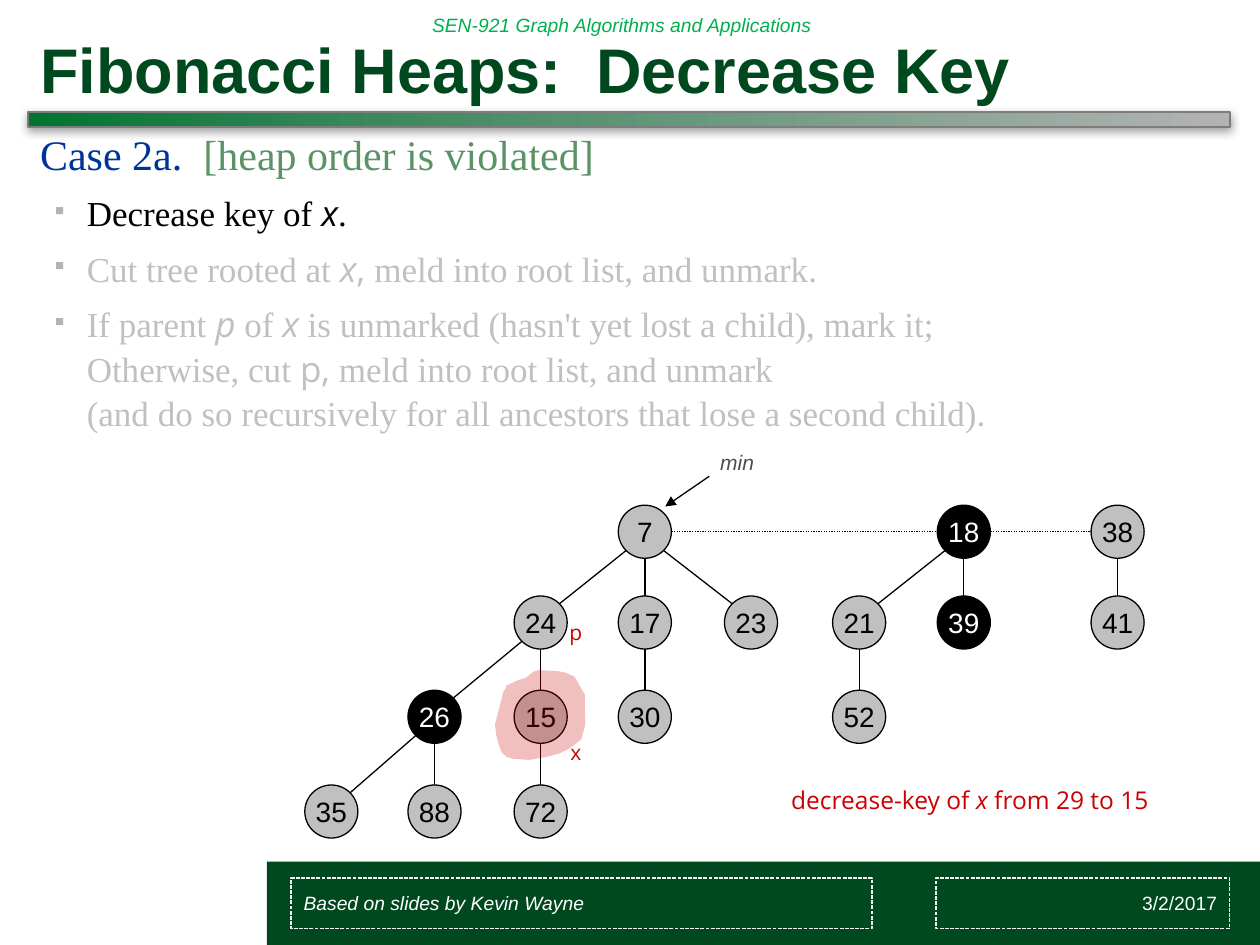
from copy import deepcopy

from lxml import etree
from pptx import Presentation
from pptx.dml.color import RGBColor
from pptx.enum.dml import MSO_LINE
from pptx.enum.shapes import MSO_CONNECTOR, MSO_SHAPE
from pptx.enum.text import MSO_ANCHOR, MSO_AUTO_SIZE, PP_ALIGN
from pptx.oxml.ns import qn
from pptx.util import Cm, Pt

STRAIGHT = MSO_CONNECTOR.STRAIGHT
RECTANGLE, OVAL = MSO_SHAPE.RECTANGLE, MSO_SHAPE.OVAL
DOTTED, DASHED = MSO_LINE.ROUND_DOT, MSO_LINE.SQUARE_DOT
LEFT, CENTER, RIGHT = PP_ALIGN.LEFT, PP_ALIGN.CENTER, PP_ALIGN.RIGHT
MIDDLE, BOTTOM = MSO_ANCHOR.MIDDLE, MSO_ANCHOR.BOTTOM
FIT_SHAPE = MSO_AUTO_SIZE.SHAPE_TO_FIT_TEXT

COLORS = {name: RGBColor.from_string(value) for name, value in {
    "forest": "00481E", "green": "00B050", "sage": "5B9266", "blue": "003399",
    "red": "CC0000", "black": "000000", "marked": "010000", "white": "FFFFFF",
    "node": "C0C0C0", "faded": "C0C0C0", "bullet": "B3B3B3", "label": "4D4D4D",
    "frame": "F2F2F2", "bar edge": "7D7D7D", "bar start": "007430",
    "bar middle": "3C895C", "bar end": "B3B3B3"}.items()}
SERIF, SANS, ARIAL = "Times New Roman", "Open Sans", "Arial"


def write(para, spans, size, color, name=ARIAL, italic=False, bold=False, align=LEFT):
    """Each span is plain text, or a tuple of text and the font settings it changes."""
    para.alignment = align
    font = para.font
    font.size, font.name, font.italic, font.bold = Pt(size), name, italic, bold
    font.color.rgb = COLORS[color]
    for item in spans:
        text, changes = item if isinstance(item, tuple) else (item, {})
        if text == "\n":
            para.add_line_break()
            continue
        span = para.add_run()
        span.text = text
        for key, value in changes.items():
            if key == "color":
                span.font.color.rgb = COLORS[value]
            else:
                setattr(span.font, key, value)


def draw_line(x1, y1, x2, y2, dash=None, arrow=False):
    line = page.shapes.add_connector(STRAIGHT, Cm(x1), Cm(y1), Cm(x2), Cm(y2))
    line.line.color.rgb = COLORS["black"]
    line.line.width = Pt(0.75)
    if dash:
        line.line.dash_style = dash
    properties = line._element.spPr
    if arrow:
        etree.SubElement(properties.find(qn("a:ln")), qn("a:tailEnd"), type="triangle")
    etree.SubElement(properties, qn("a:effectLst"))


deck = Presentation()
deck.slide_width, deck.slide_height = Cm(25.4), Cm(19.05)
page = deck.slides.add_slide(deck.slide_layouts[5])

# Footer band
band = page.shapes.add_shape(RECTANGLE, Cm(5.38), Cm(17.37), Cm(20.02), Cm(1.7))
band.shadow.inherit = False
band.fill.solid()
band.fill.fore_color.rgb = COLORS["forest"]
band.line.fill.background()

# Gradient bar under the title, with a soft shadow
bar = page.shapes.add_shape(RECTANGLE, Cm(0.56), Cm(2.26), Cm(24.23), Cm(0.3))
bar.fill.gradient()
bar.fill.gradient_angle = 0
bar.line.color.rgb = COLORS["bar edge"]
bar.line.width = Pt(1)
stop_list = bar._element.spPr.find(".//" + qn("a:gsLst"))
stop_list.append(deepcopy(stop_list[1]))
stops = [(0, "bar start"), (0.29, "bar middle"), (1, "bar end")]
for stop, (position, color) in zip(bar.fill.gradient_stops, stops):
    stop.position = position
    stop.color.rgb = COLORS[color]
effects = etree.SubElement(bar._element.spPr, qn("a:effectLst"))
shadow = etree.SubElement(effects, qn("a:outerShdw"), blurRad=str(Pt(5)),
                          dist=str(Pt(2)), dir="5400000", rotWithShape="0")
shade = etree.SubElement(shadow, qn("a:srgbClr"), val="808080")
etree.SubElement(shade, qn("a:alpha"), val="75000")

# Title
title = page.shapes.title
title.left, title.top, title.width, title.height = Cm(0.56), Cm(0.41), Cm(24.23), Cm(1.85)
title.text_frame.auto_size = MSO_AUTO_SIZE.NONE
title.text_frame.vertical_anchor = BOTTOM
write(title.text_frame.paragraphs[0], ["Fibonacci Heaps:  Decrease Key"],
      36, "forest", bold=True)

# Course name
course = page.shapes.add_textbox(Cm(8.46), Cm(0), Cm(11.71), Cm(1.02))
course.text_frame.word_wrap = True
course.text_frame.vertical_anchor = MIDDLE
write(course.text_frame.paragraphs[0], ["SEN-921 Graph Algorithms and Applications"],
      11, "green", italic=True)

# Case heading and its steps
variable, plain = {"name": SANS, "italic": True}, {"name": SANS}
steps = [
    ("black", ["Decrease key of ", ("x", variable), "."]),
    ("faded", ["Cut tree rooted at ", ("x", variable), (", ", plain),
               "meld into root list, and unmark."]),
    ("faded", ["If parent ", ("p", variable), " of ", ("x", variable),
               " is unmarked (hasn't yet lost a child), mark it;", "\n",
               "Otherwise, cut ", ("p,", plain), " meld into root list, and unmark", "\n",
               "(and do so recursively for all ancestors that lose a second child)."]),
]
body = page.shapes.add_textbox(Cm(0.56), Cm(2.57), Cm(24.23), Cm(14.45)).text_frame
body.word_wrap = True
heading = body.paragraphs[0]
heading.line_spacing = Pt(25.6)
write(heading, ["Case 2a.  ", ("[heap order is violated]", {"color": "sage"})],
      24, "blue", SERIF)
for color, spans in steps:
    para = body.add_paragraph()
    para.line_spacing, para.space_before = Pt(25.6), Pt(6)
    settings = para._p.get_or_add_pPr()
    settings.set("marL", str(Cm(0.94)))
    settings.set("indent", str(Cm(-0.64)))
    bullet_color = etree.SubElement(settings, qn("a:buClr"))
    etree.SubElement(bullet_color, qn("a:srgbClr"), val=str(COLORS["bullet"]))
    etree.SubElement(settings, qn("a:buSzPct"), val="35000")
    etree.SubElement(settings, qn("a:buChar"), char="■")
    write(para, spans, 20, color, SERIF)

# Heap trees: key -> (column, row, parent)
columns = [6.68, 8.76, 10.9, 13, 15.14, 17.32, 19.43, 22.53]
rows = [10.72, 12.55, 14.45, 16.36]
nodes = {
    7: (3, 0, None), 18: (6, 0, None), 38: (7, 0, None),
    24: (2, 1, 7), 17: (3, 1, 7), 23: (4, 1, 7),
    21: (5, 1, 18), 39: (6, 1, 18), 41: (7, 1, 38),
    26: (1, 2, 24), 15: (2, 2, 24), 30: (3, 2, 17), 52: (5, 2, 21),
    35: (0, 3, 26), 88: (1, 3, 26), 72: (2, 3, 15),
}
marked = {18, 26, 39}
diameter = 1.07
radius = diameter / 2
diagonal = radius * 0.71
for key, (column, row, parent) in nodes.items():
    x, y = columns[column], rows[row]
    circle = page.shapes.add_shape(OVAL, Cm(x - radius), Cm(y - radius),
                                   Cm(diameter), Cm(diameter))
    circle.shadow.inherit = False
    circle.fill.solid()
    circle.fill.fore_color.rgb = COLORS["marked" if key in marked else "node"]
    circle.line.color.rgb = COLORS["black"]
    circle.line.width = Pt(0.75)
    circle.text_frame.word_wrap = False
    circle.text_frame.vertical_anchor = MIDDLE
    write(circle.text_frame.paragraphs[0], [str(key)], 16,
          "white" if key in marked else "black", align=CENTER)
    if parent:
        parent_x, parent_y = columns[nodes[parent][0]], rows[nodes[parent][1]]
        side = (x > parent_x) - (x < parent_x)
        drop = diagonal if side else radius
        draw_line(parent_x + side * diagonal, parent_y + drop,
                  x - side * diagonal, y - drop)

# Root list and pointer to the minimum
for start, end in [(3, 6), (6, 7)]:
    draw_line(columns[start] + radius, rows[0], columns[end] - radius, rows[0], DOTTED)
draw_line(14.3, 9.6, 13.41, 10.21, arrow=True)

# Labels
labels = [
    (14.27, 8.94, 1.19, 0.76, ["min"], 12, "label", ARIAL, True),
    (15.7, 15.7, 8.2, 0.86,
     ["decrease-key of ", ("x", {"italic": True}), " from 29 to 15"], 14, "red", SANS, False),
    (11.23, 12.37, 0.74, 0.76, ["p"], 12, "red", SANS, False),
    (11.25, 14.78, 0.71, 0.76, ["x"], 12, "red", SANS, False),
]
for x, y, width, height, spans, *style in labels:
    box = page.shapes.add_textbox(Cm(x), Cm(y), Cm(width), Cm(height))
    box.text_frame.word_wrap = False
    box.text_frame.auto_size = FIT_SHAPE
    write(box.text_frame.paragraphs[0], spans, *style)

# Translucent highlight around x: cubic curves sampled as short segments
start = (10.21, 13.82)
curves = [
    [(10.34, 13.77), (10.46, 13.69), (10.59, 13.67)],
    [(10.77, 13.54), (10.69, 13.56), (10.85, 13.51)],
    [(11.23, 13.54), (11.3, 13.49), (11.58, 13.64)],
    [(11.66, 13.77), (11.71, 13.87), (11.79, 14)],
    [(11.76, 14.33), (11.94, 14.96), (11.48, 15.09)],
    [(11.25, 15.24), (10.95, 15.27), (10.67, 15.32)],
    [(10.44, 15.29), (10.21, 15.34), (10.11, 15.16)],
    [(10.03, 14.94), (10.01, 14.91), (9.98, 14.61)],
    [(10.03, 14.4), (10.08, 14.22), (10.13, 14.02)],
    [(10.13, 13.94), (10.21, 13.89), (10.21, 13.82)],
]
points, current = [], start
for first, second, end in curves:
    for t in (0.25, 0.5, 0.75, 1):
        weights = ((1 - t) ** 3, 3 * t * (1 - t) ** 2, 3 * t ** 2 * (1 - t), t ** 3)
        corners = (current, first, second, end)
        points.append(tuple(Cm(sum(w * c[axis] for w, c in zip(weights, corners)))
                            for axis in (0, 1)))
    current = end
builder = page.shapes.build_freeform(Cm(start[0]), Cm(start[1]))
builder.add_line_segments(points, close=True)
highlight = builder.convert_to_shape()
highlight.shadow.inherit = False
highlight.fill.solid()
highlight.fill.fore_color.rgb = COLORS["red"]
highlight.line.fill.background()
fill_color = highlight._element.spPr.find(qn("a:solidFill"))[0]
etree.SubElement(fill_color, qn("a:alpha"), val="25000")

# Footer frames
frames = [(18.87, 5.92, "3/2/2017", RIGHT, False),
          (5.87, 11.71, "Based on slides by Kevin Wayne", LEFT, True)]
for x, width, text, align, italic in frames:
    frame = page.shapes.add_shape(RECTANGLE, Cm(x), Cm(17.7), Cm(width), Cm(1.02))
    frame.shadow.inherit = False
    frame.fill.background()
    frame.line.color.rgb = COLORS["frame"]
    frame.line.width = Pt(0.75)
    frame.line.dash_style = DASHED
    frame.text_frame.vertical_anchor = MIDDLE
    write(frame.text_frame.paragraphs[0], [text], 11, "white", italic=italic, align=align)

deck.save("out.pptx")
